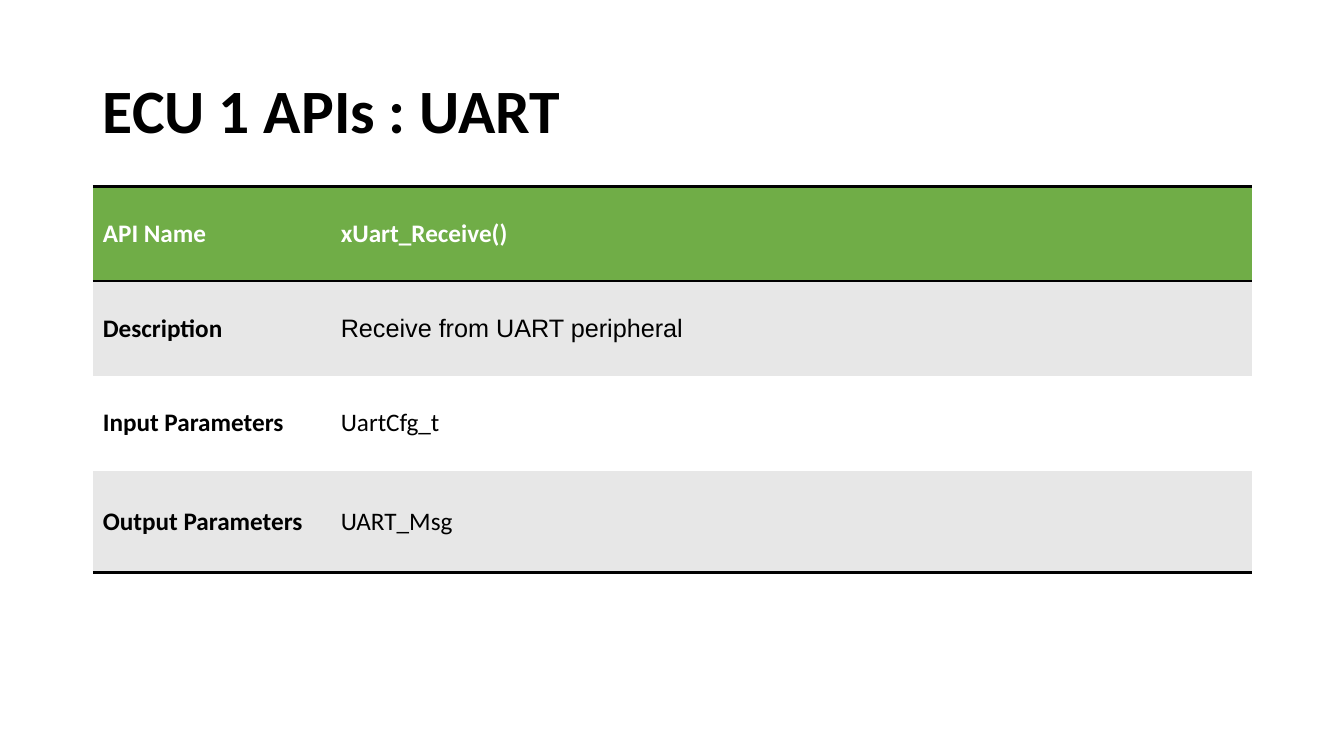
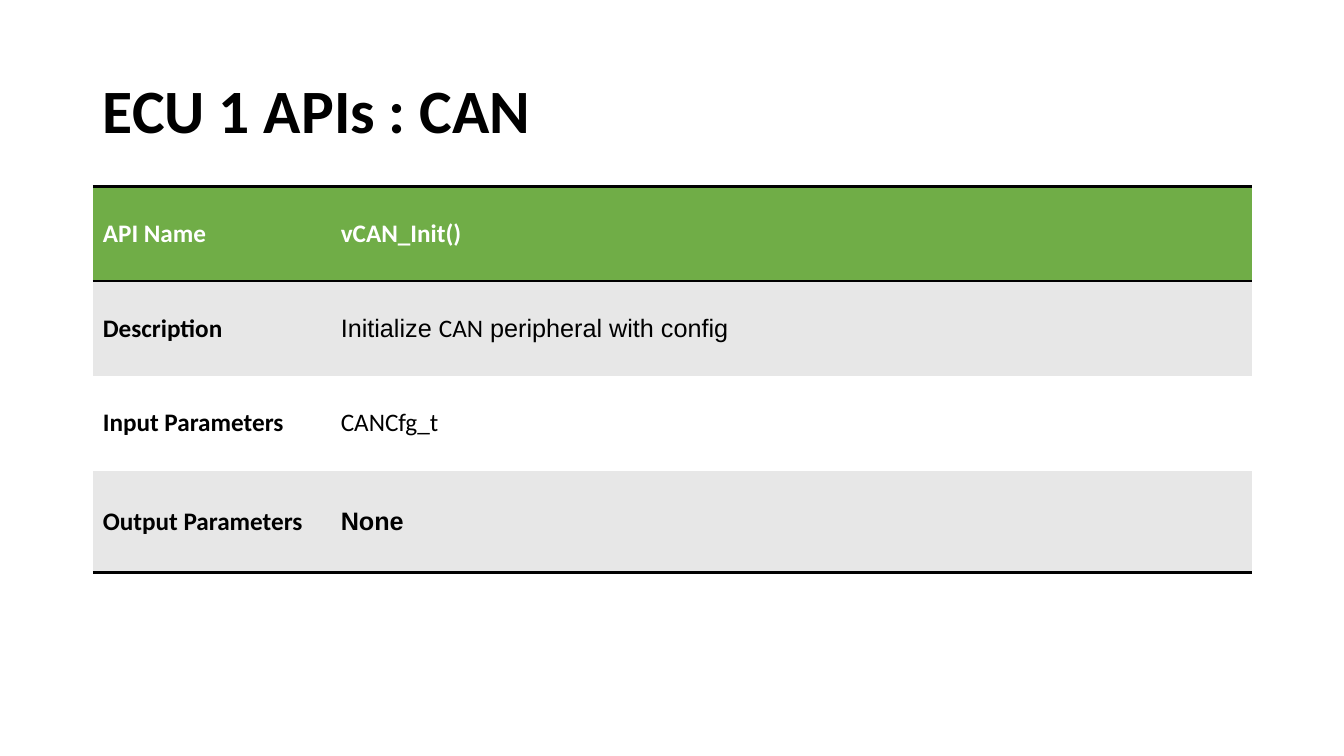
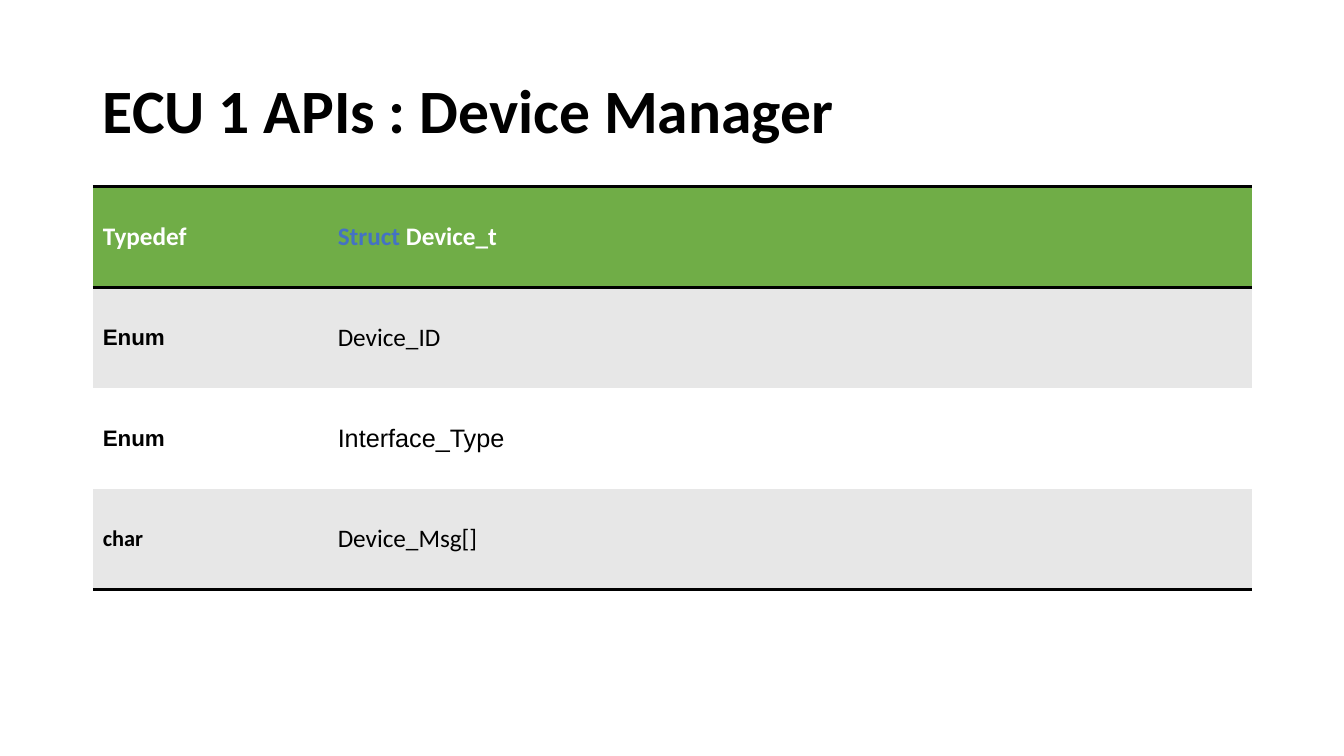
from dataclasses import dataclass

from lxml import etree
from pptx import Presentation
from pptx.dml.color import RGBColor
from pptx.enum.text import MSO_ANCHOR, MSO_AUTO_SIZE, PP_ALIGN
from pptx.oxml.ns import qn
from pptx.util import Inches, Pt

MIDDLE = MSO_ANCHOR.MIDDLE
LEFT = PP_ALIGN.LEFT
NO_AUTOFIT = MSO_AUTO_SIZE.NONE
TITLE_ONLY = 5
PLAIN_TABLE = "{2D5ABB26-0587-4C30-8999-92F81FD0307C}"


@dataclass(frozen=True)
class Theme:
    """Colours, fonts and type sizes of the deck."""

    black: str = "000000"
    white: str = "FFFFFF"
    green: str = "70AD47"
    grey: str = "E7E7E7"
    blue: str = "4472C4"
    main: str = "Calibri"
    alternate: str = "Arial"
    title_size: int = 44
    cell_size: int = 18
    type_size: int = 16
    rule_width: int = 2


THEME = Theme()


@dataclass(frozen=True)
class Span:
    """A piece of cell text that departs from the usual cell style."""

    text: str
    font: str = THEME.main
    size: int = THEME.cell_size
    color: str = ""
    bold: bool = False


class ApiDeck:
    """Builds API reference slides with a title and a ruled table."""

    left, width = Inches(0.92), Inches(11.5)

    def __init__(self, theme):
        """Start an empty widescreen deck."""
        self.theme = theme
        self.deck = Presentation()
        self.deck.slide_width = Inches(13.33)
        self.deck.slide_height = Inches(7.5)
        self.page = None

    def add_page(self, title):
        """Add a slide and fill its title placeholder."""
        self.page = self.deck.slides.add_slide(self.deck.slide_layouts[TITLE_ONLY])
        box = self.page.shapes.title
        box.left, box.top = self.left, Inches(0.4)
        box.width, box.height = self.width, Inches(1.45)
        frame = box.text_frame
        frame.text = title
        frame.word_wrap = True
        frame.auto_size = NO_AUTOFIT
        frame.vertical_anchor = MIDDLE
        para = frame.paragraphs[0]
        para.alignment = LEFT
        para.line_spacing = 0.9
        self.style(para.font, self.theme.main, self.theme.title_size, self.theme.black, True)

    def add_table(self, rows, label_width, heights):
        """Add a two-column table with a green header and grey bands."""
        frame = self.page.shapes.add_table(
            len(rows), 2, self.left, Inches(1.85), self.width, Inches(sum(heights)))
        table = frame.table
        frame.element.find(".//" + qn("a:tableStyleId")).text = PLAIN_TABLE
        table.columns[0].width = Inches(label_width)
        table.columns[1].width = self.width - Inches(label_width)
        for index, (cells, height) in enumerate(zip(rows, heights)):
            table.rows[index].height = Inches(height)
            header, last = index == 0, index == len(rows) - 1
            edges = ["a:lnT"] * header + ["a:lnB"] * (header or last)
            band = self.theme.grey if index % 2 else self.theme.white
            for column, content in enumerate(cells):
                cell = table.cell(index, column)
                self.rule(cell, edges)
                cell.fill.solid()
                cell.fill.fore_color.rgb = RGBColor.from_string(
                    self.theme.green if header else band)
                cell.vertical_anchor = MIDDLE
                color = self.theme.white if header else self.theme.black
                self.fill_text(cell, content, color, header or column == 0)

    def fill_text(self, cell, content, color, bold):
        """Put plain text or a list of spans into a cell."""
        para = cell.text_frame.paragraphs[0]
        spans = [Span(content)] if isinstance(content, str) else content
        for span in spans:
            run = para.add_run()
            run.text = span.text
            target = para.font if len(spans) == 1 else run.font
            self.style(target, span.font, span.size, span.color or color, bold or span.bold)

    def rule(self, cell, edges):
        """Draw black rules on the given edges of a cell."""
        properties = cell._tc.get_or_add_tcPr()
        for edge in edges:
            line = etree.SubElement(
                properties, qn(edge), w=str(Pt(self.theme.rule_width)))
            fill = etree.SubElement(line, qn("a:solidFill"))
            etree.SubElement(fill, qn("a:srgbClr"), val=self.theme.black)

    def style(self, font, name, size, color, bold):
        """Set the face, size, colour and weight of a font."""
        font.name, font.size, font.bold = name, Pt(size), bold
        font.color.rgb = RGBColor.from_string(color)


def main():
    """Build and save the three API slides."""
    api = ApiDeck(THEME)
    arial = THEME.alternate
    small = THEME.type_size
    labels = ["API Name", "Description", "Input Parameters", "Output Parameters"]
    functions = {
        "UART": ["xUart_Receive()", [Span("Receive from UART peripheral", arial)],
                 "UartCfg_t", "UART_Msg"],
        "CAN": ["vCAN_Init()",
                [Span("Initialize ", arial), Span("CAN"),
                 Span(" peripheral with config", arial)],
                "CANCfg_t", [Span("None", arial, bold=True)]],
    }
    for module, values in functions.items():
        api.add_page(f"ECU 1 APIs : {module}")
        api.add_table(list(zip(labels, values)), 2.36, [0.94, 0.94, 0.94, 1.01])

    enum_label = [Span("Enum", arial, small)]
    fields = [
        ("Typedef", [Span("Struct ", color=THEME.blue), Span("Device_t")]),
        (enum_label, "Device_ID"),
        (enum_label, [Span("Interface_Type", arial)]),
        ([Span("char", size=small)], "Device_Msg[]"),
    ]
    api.add_page("ECU 1 APIs : Device Manager")
    api.add_table(fields, 2.33, [1] * len(fields))
    api.deck.save("out.pptx")


if __name__ == "__main__":
    main()
